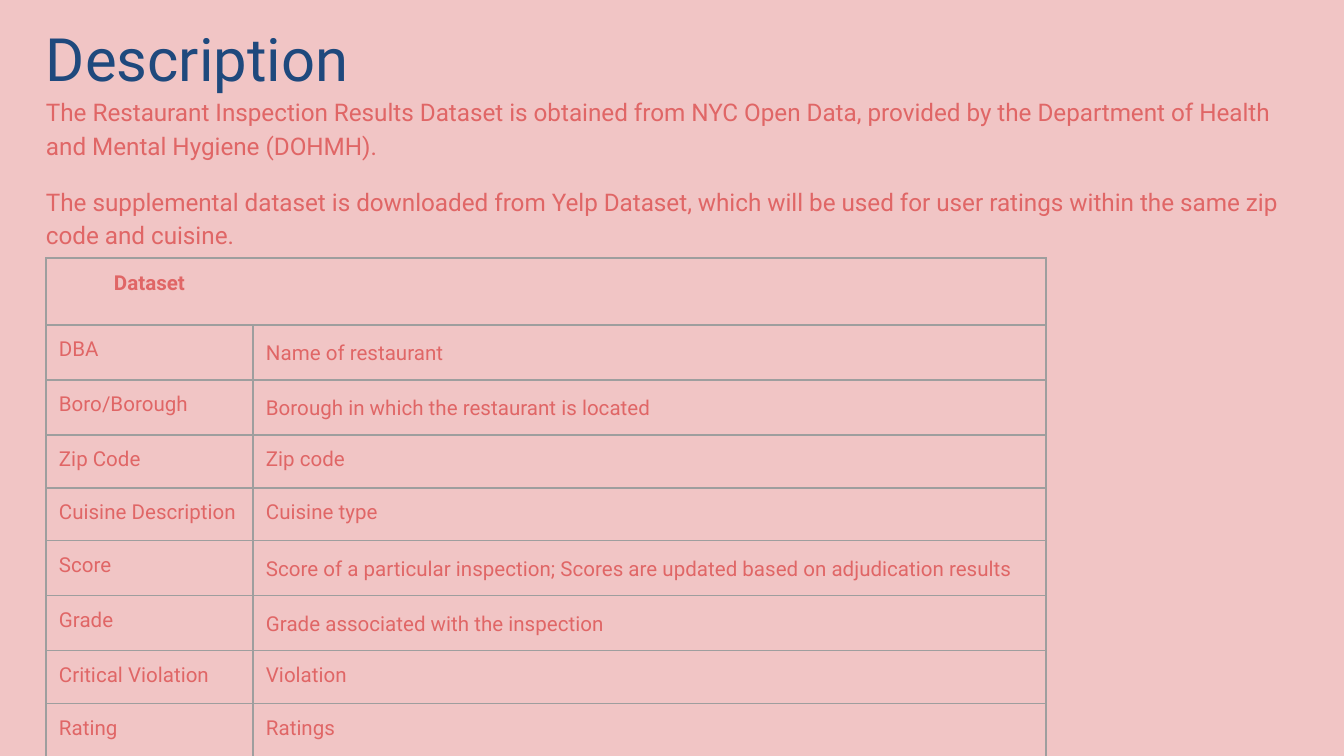
import pptx
import pptx.util
import pptx.dml.color
import pptx.enum.text
import pptx.oxml

# Colours, type sizes and font
theme = {
    "font": "Roboto",
    "back": "F1C5C5", "head": "1F497D", "text": "E06666", "line": "9E9E9E",
    "big": 32, "mid": 13, "small": 11, "rule": 0.75,
}
scale = 9144000 / 1344  # EMU in one px
align = pptx.enum.text.PP_ALIGN
anchor = pptx.enum.text.MSO_ANCHOR


def write(para, text, size, color="text", bold=False, side=align.LEFT,
          space=1, before=0, after=0):
    para.alignment = side
    para.line_spacing = space
    para.space_before = pptx.util.Pt(before)
    para.space_after = pptx.util.Pt(after)
    run = para.add_run()
    run.text = text
    run.font.name = theme["font"]
    run.font.size = pptx.util.Pt(theme[size])
    run.font.bold = bold
    run.font.color.rgb = pptx.dml.color.RGBColor.from_string(theme[color])


def edge(cell, hide):
    """Draw the four borders of a cell, save the hidden side."""
    width = pptx.util.Pt(theme["rule"])
    for side in "LRTB":
        paint = "<a:noFill/>"
        if side != hide:
            paint = f'<a:solidFill><a:srgbClr val="{theme["line"]}"/></a:solidFill>'
        cell._tc.get_or_add_tcPr().append(pptx.oxml.parse_xml(
            f'<a:ln{side} xmlns:a="http://schemas.openxmlformats.org/drawingml/2006/main"'
            f' w="{width}">{paint}</a:ln{side}>'))


# Slide and background
deck = pptx.Presentation()
deck.slide_width = round(1344 * scale)
deck.slide_height = round(756 * scale)
slide = deck.slides.add_slide(deck.slide_layouts[0])
fill = slide.background.fill
fill.solid()
fill.fore_color.rgb = pptx.dml.color.RGBColor.from_string(theme["back"])

# Title and body places
title, body = slide.shapes.title, slide.placeholders[1]
for shape, top, height, hold in ((title, 20, 73, anchor.BOTTOM),
                                 (body, 93, 153, anchor.TOP)):
    shape.left, shape.top = round(46 * scale), round(top * scale)
    shape.width, shape.height = round(1252 * scale), round(height * scale)
    frame = shape.text_frame
    frame.margin_left = frame.margin_right = 0
    frame.margin_top = frame.margin_bottom = 0
    frame.word_wrap = True
    frame.auto_size = pptx.enum.text.MSO_AUTO_SIZE.NONE
    frame.vertical_anchor = hold

# Title and body text
write(title.text_frame.paragraphs[0], "Description", "big", color="head")
write(body.text_frame.paragraphs[0],
      "The Restaurant Inspection Results Dataset is obtained from NYC Open Data, "
      "provided by the Department of Health and Mental Hygiene (DOHMH).",
      "mid", space=1.15)
write(body.text_frame.add_paragraph(),
      "The supplemental dataset is downloaded from Yelp Dataset, which will be "
      "used for user ratings within the same zip code and cuisine.",
      "mid", space=1.15, before=12, after=12)

# Table rows: field, meaning, line spacing of the meaning, height in px
rows = [
    ("Dataset", "", 1, 67),
    ("DBA", "Name of restaurant", 1.15, 55),
    ("Boro/Borough", "Borough in which the restaurant is located", 1.15, 55),
    ("Zip Code", "Zip code", 1, 53),
    ("Cuisine Description", "Cuisine type", 1, 53),
    ("Score", "Score of a particular inspection; Scores are updated based on "
     "adjudication results", 1.15, 55),
    ("Grade", "Grade associated with the inspection", 1.15, 55),
    ("Critical Violation", "Violation", 1, 53),
    ("Rating", "Ratings", 1, 53),
]
wide = (207, 793)
tall = sum(row[3] for row in rows)
table = slide.shapes.add_table(
    len(rows), len(wide), round(46 * scale), round(258 * scale),
    round(sum(wide) * scale), round(tall * scale)).table
table.first_row = table.horz_banding = False
for col, width in zip(table.columns, wide):
    col.width = round(width * scale)

# Table cells
for r, (field, note, space, height) in enumerate(rows):
    table.rows[r].height = round(height * scale)
    head = r == 0
    for c, text in enumerate((field, note)):
        cell = table.cell(r, c)
        cell.margin_left = cell.margin_right = round(13 * scale)
        cell.margin_top = cell.margin_bottom = round(13 * scale)
        edge(cell, "RL"[c] if head else "")
        cell.fill.background()
        para = cell.text_frame.paragraphs[0]
        if text:
            write(para, text, "small", bold=head,
                  side=align.CENTER if head else align.LEFT,
                  space=space if c else 1)
        else:
            para.font.size = pptx.util.Pt(theme["small"])

deck.save("out.pptx")
